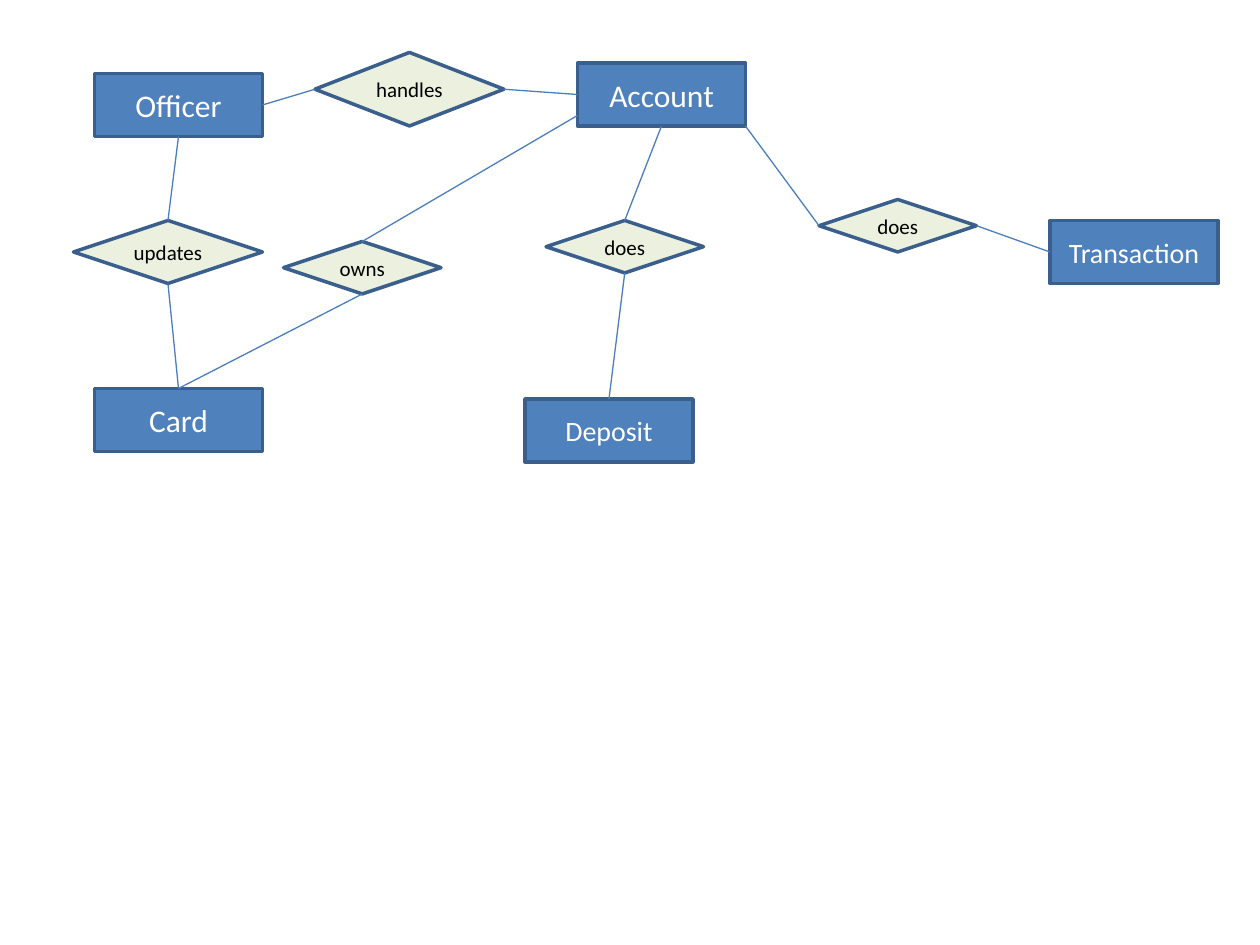
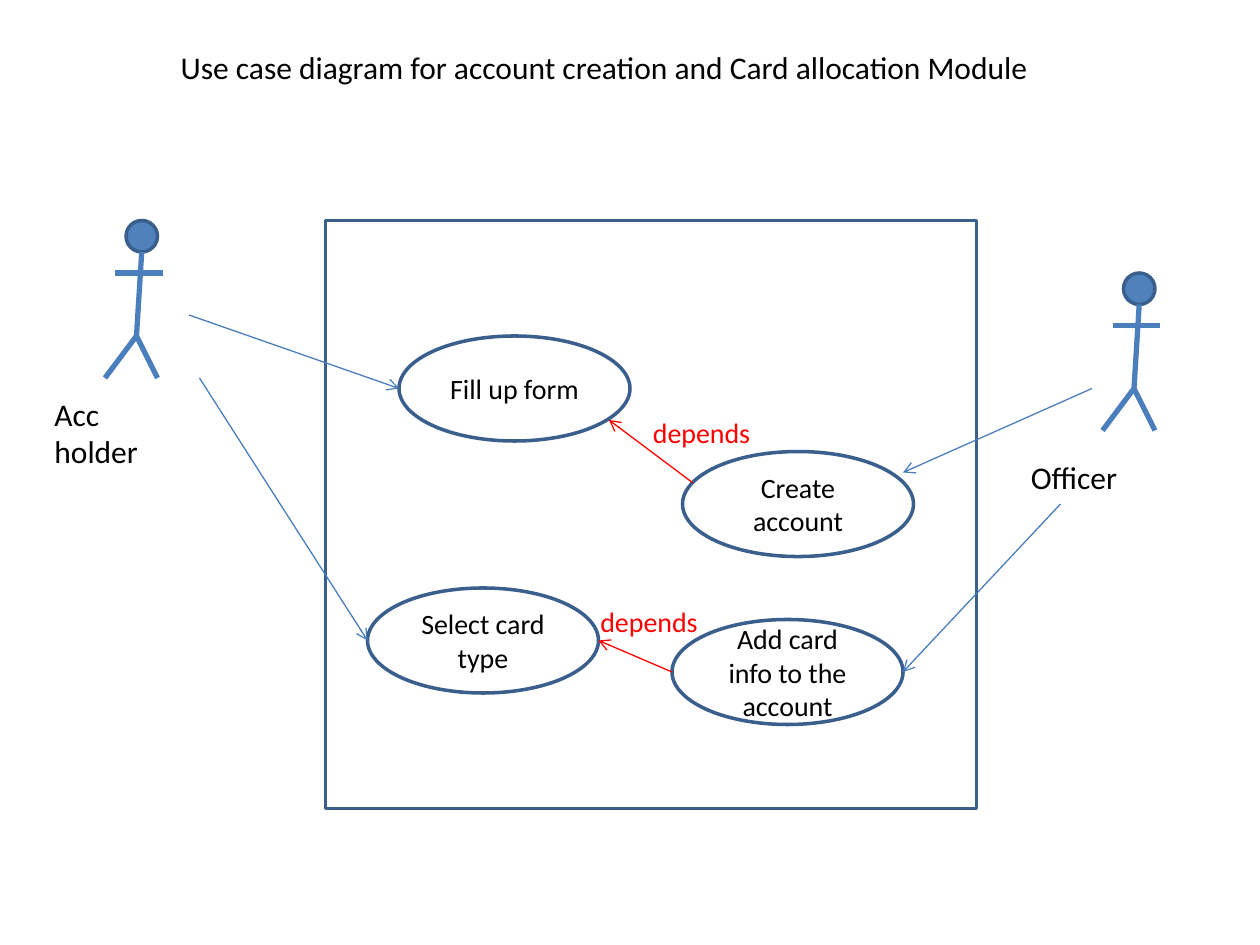
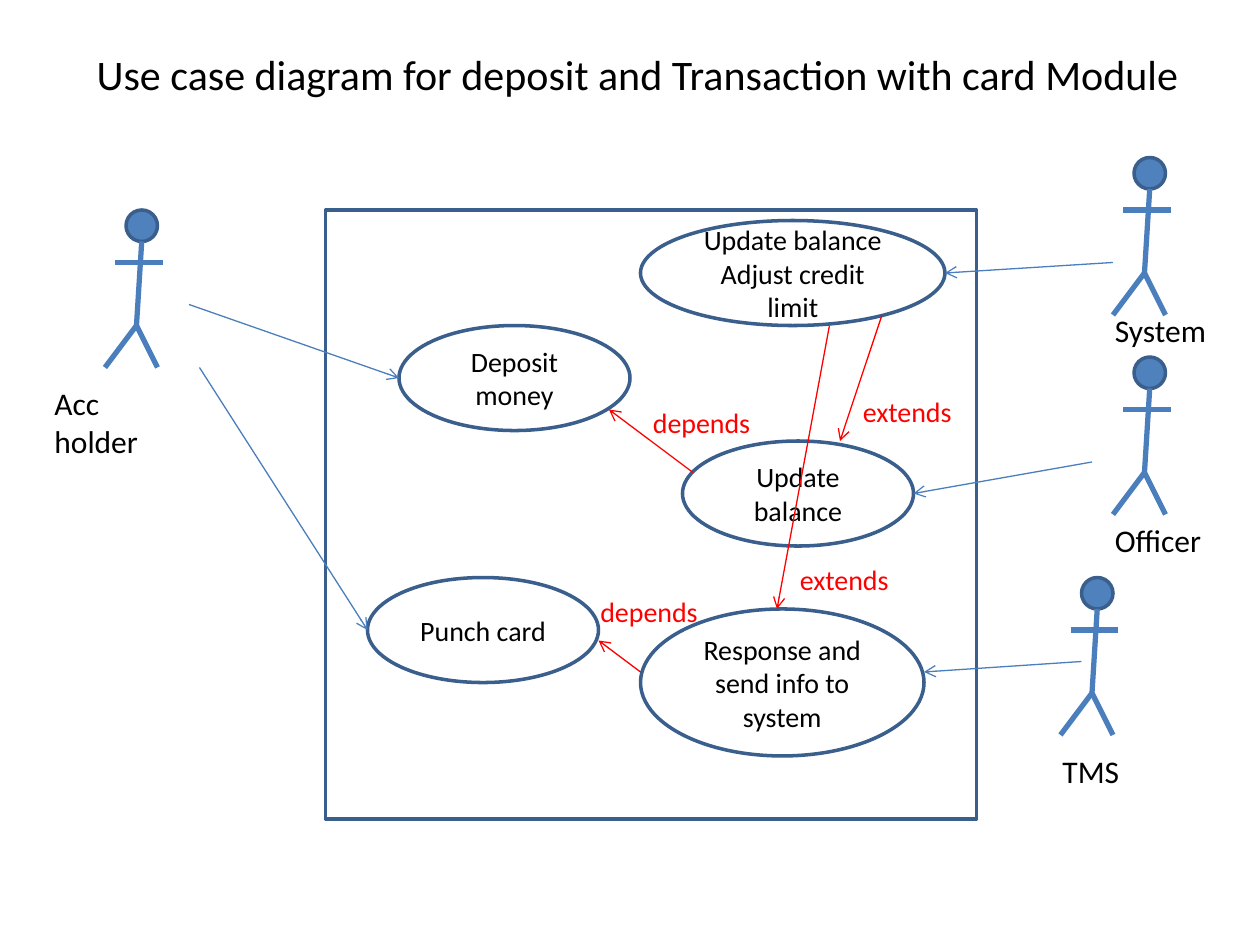
import pptx
import pptx.util
import pptx.dml.color
import pptx.enum.shapes
import pptx.enum.text
import pptx.oxml.ns
import lxml.etree

SHAPE = pptx.enum.shapes.MSO_SHAPE
ALIGN = pptx.enum.text.PP_ALIGN
ANCHOR = pptx.enum.text.MSO_ANCHOR
FIT = pptx.enum.text.MSO_AUTO_SIZE
TOP, LEFT, BOTTOM, RIGHT = range(4)

COLORS = {
    key: pptx.dml.color.RGBColor.from_string(value)
    for key, value in {
        "blue": "4F81BD", "outline": "3A5F8C", "link": "4B7EBC",
        "green": "EBF1DE", "white": "FFFFFF", "black": "000000", "red": "FF0000",
    }.items()
}

deck = pptx.Presentation()
deck.slide_width, deck.slide_height = pptx.util.Inches(10), pptx.util.Inches(7.5)

# Every length below counts cells of a grid of 120 columns and 90 rows
CELL = deck.slide_width // 120


def format_item(item, box, text="", size=16, color="black", fill=None, outlined=True):
    """Place a shape, text box or title on the grid and format its look and text."""
    for side, cells in zip(("left", "top", "width", "height"), box):
        setattr(item, side, round(cells * CELL))
    if outlined:
        item.shadow.inherit = False
        item.line.color.rgb = COLORS["outline"]
        item.line.width = pptx.util.Pt(2)
        if fill:
            item.fill.solid()
            item.fill.fore_color.rgb = COLORS[fill]
        else:
            item.fill.background()
    if not text:
        return
    frame = item.text_frame
    frame.text = text
    frame_format = {
        "word_wrap": True,
        "vertical_anchor": ANCHOR.MIDDLE if outlined else ANCHOR.TOP,
        "auto_size": FIT.NONE if outlined else FIT.SHAPE_TO_FIT_TEXT,
    }
    for key, value in frame_format.items():
        setattr(frame, key, value)
    paragraph = frame.paragraphs[0]
    paragraph.alignment = ALIGN.CENTER if outlined else ALIGN.LEFT
    font = paragraph.runs[0].font
    for key, value in {"name": "Calibri", "size": pptx.util.Pt(size)}.items():
        setattr(font, key, value)
    font.color.rgb = COLORS[color]


def draw_line(slide, start, end, color="link", width=0.75, arrow=False):
    """Draw a straight connector between two grid points, with an optional arrowhead."""
    line = slide.shapes.add_connector(
        pptx.enum.shapes.MSO_CONNECTOR.STRAIGHT,
        *(round(cells * CELL) for cells in (*start, *end)))
    line.line.color.rgb = COLORS[color]
    line.line.width = pptx.util.Pt(width)
    properties = line._element.spPr
    if arrow:
        outline = properties.find(pptx.oxml.ns.qn("a:ln"))
        lxml.etree.SubElement(outline, pptx.oxml.ns.qn("a:tailEnd"), type="arrow")
    lxml.etree.SubElement(properties, pptx.oxml.ns.qn("a:effectLst"))
    return line


# Slide 1: entities and the relations between them
er_slide = deck.slides.add_slide(deck.slide_layouts[6])

entities = {}
for name, left, top, size in [
    ("Account", 55, 6, 18), ("Officer", 9, 7, 18), ("Card", 9, 37, 18),
    ("Deposit", 50, 38, 16), ("Transaction", 100, 21, 16),
]:
    entities[name] = er_slide.shapes.add_shape(SHAPE.RECTANGLE, 0, 0, 0, 0)
    format_item(entities[name], (left, top, 16, 6), name, size, "white", "blue")

# Each link: relation side, then an entity with its side, or a grid point
# on the edge of Account away from the middle of a side
relations = [
    ("handles", (30, 5, 18, 7),
     [(LEFT, ("Officer", RIGHT)), (RIGHT, ("Account", LEFT))]),
    ("owns", (27, 23, 15, 5), [(TOP, (55, 11)), (BOTTOM, ("Card", TOP))]),
    ("does", (52, 21, 15, 5),
     [(TOP, ("Account", BOTTOM)), (BOTTOM, ("Deposit", TOP))]),
    ("does", (78, 19, 15, 5),
     [(LEFT, (71, 12)), (RIGHT, ("Transaction", LEFT))]),
    ("updates", (7, 21, 18, 6),
     [(TOP, ("Officer", BOTTOM)), (BOTTOM, ("Card", TOP))]),
]
for name, box, links in relations:
    relation = er_slide.shapes.add_shape(SHAPE.FLOWCHART_DECISION, 0, 0, 0, 0)
    format_item(relation, box, name, 12, "black", "green")
    for side, (target, place) in links:
        if target in entities:
            link = draw_line(er_slide, (0, 0), (0, 0))
            link.begin_connect(entities[target], place)
        else:
            link = draw_line(er_slide, (target, place), (0, 0))
        link.end_connect(relation, side)

# Slides 2 and 3: use case diagrams
diagrams = [
    {
        "title": "Use case diagram for account creation and Card allocation Module",
        "title_box": (16, 4, 89, 4.8), "title_size": 18,
        "system": (31, 21, 62, 56),
        "actors": [("Acc holder", (12, 21), (4, 37)), ("Officer", (107, 26), (97, 43))],
        "cases": [
            ("Fill up form", (38, 32, 22, 10)),
            ("Create account", (65, 43, 22, 10)),
            ("Select card type", (35, 56, 22, 10)),
            ("Add card info to the account", (64, 59, 22, 10)),
        ],
        "uses": [
            ((18, 30), (38, 37)), ((104, 37), (86, 45)),
            ((19, 36), (35, 61)), ((101, 48), (86, 64)),
        ],
        "dependencies": [
            ("depends", (61, 39), (66, 46), (58, 40)),
            ("depends", (56, 57), (64, 64), (57, 61)),
        ],
    },
    {
        "title": "Use case diagram for deposit and Transaction with card Module",
        "title_box": (8, 4, 108, 6), "title_size": 24,
        "system": (31, 20, 62, 58),
        "actors": [
            ("Acc holder", (12, 20), (4, 36)), ("Officer", (108, 34), (105, 49)),
            ("TMS", (103, 55), (100, 71)), ("System", (108, 15), (105, 29)),
        ],
        "cases": [
            ("Deposit money", (38, 31, 22, 10)),
            ("Update balance", (65, 42, 22, 10)),
            ("Punch card", (35, 55, 22, 10)),
            ("Response and send info to system", (61, 58, 27, 14)),
            ("Update balance Adjust credit limit", (61, 21, 29, 10)),
        ],
        "uses": [
            ((18, 29), (38, 36)), ((104, 44), (87, 47)), ((19, 35), (35, 60)),
            ((103, 63), (88, 64)), ((106, 25), (90, 26)),
        ],
        "dependencies": [
            ("depends", (61, 38), (66, 45), (58, 39)),
            ("depends", (56, 56), (61, 64), (57, 61)),
            ("extends", (81, 37), (84, 30), (80, 42)),
            ("extends", (75, 53), (79, 31), (74, 58)),
        ],
    },
]

# Body, arms and legs of an actor, measured from the corner of the head
LIMBS = [
    ((1.5, 3), (1, 11)), ((3.5, 5), (-1, 5)),
    ((3, 15), (1, 11)), ((-2, 15), (1, 11)),
]

for diagram in diagrams:
    slide = deck.slides.add_slide(deck.slide_layouts[5])
    format_item(slide.shapes.title, diagram["title_box"], diagram["title"],
                diagram["title_size"], outlined=False)

    system = slide.shapes.add_shape(SHAPE.RECTANGLE, 0, 0, 0, 0)
    format_item(system, diagram["system"], fill="white")

    for name, (x, y), caption_corner in diagram["actors"]:
        head = slide.shapes.add_shape(SHAPE.OVAL, 0, 0, 0, 0)
        format_item(head, (x, y, 3, 3), fill="blue")
        for (x1, y1), (x2, y2) in LIMBS:
            draw_line(slide, (x + x1, y + y1), (x + x2, y + y2), width=3)
        caption = slide.shapes.add_textbox(0, 0, 0, 0)
        format_item(caption, (*caption_corner, 15, 4.8), name, 18, outlined=False)

    for name, box in diagram["cases"]:
        case = slide.shapes.add_shape(SHAPE.OVAL, 0, 0, 0, 0)
        format_item(case, box, name)

    for start, end in diagram["uses"]:
        draw_line(slide, start, end, arrow=True)

    for name, label_corner, start, end in diagram["dependencies"]:
        draw_line(slide, start, end, "red", arrow=True)
        label = slide.shapes.add_textbox(0, 0, 0, 0)
        format_item(label, (*label_corner, 23, 4.4), name, 16, "red", outlined=False)

deck.save("out.pptx")
